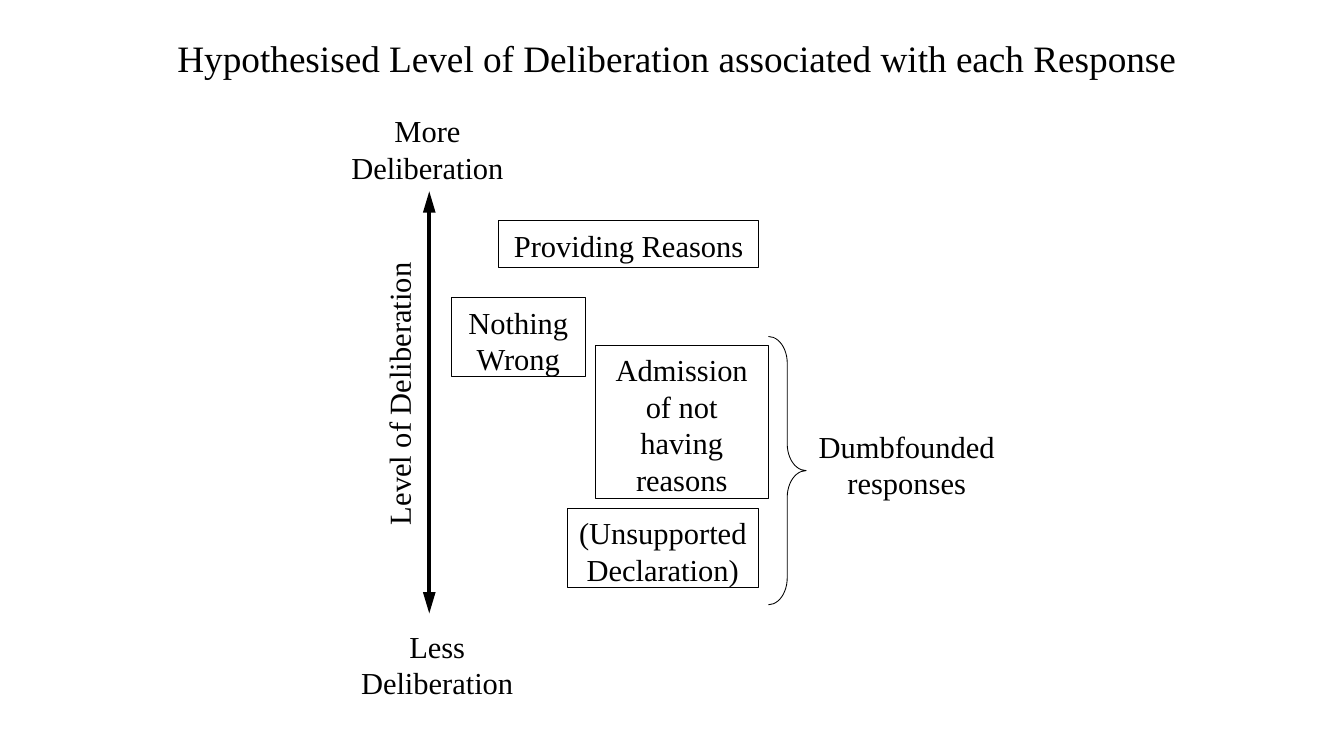
import lxml.etree
import pptx
import pptx.dml.color
import pptx.enum.shapes
import pptx.enum.text
import pptx.oxml.ns
import pptx.util

WIDTH, HEIGHT = 11.02, 6.2
FONT = "Times New Roman"
INK = "000000"
PAPER = "FFFFFF"
SHAPES = pptx.enum.shapes.MSO_SHAPE

RESPONSES = [
    ("Providing Reasons", (0.63, 0.24, 2.13, 0.38)),
    ("Nothing Wrong", (0.24, 0.87, 1.1, 0.65)),
    ("Admission of not having reasons", (1.42, 1.26, 1.42, 1.26)),
    ("(Unsupported Declaration)", (1.19, 2.6, 1.57, 0.65)),
]


def colour(hex_string):
    """Turn a hex string into a colour."""
    return pptx.dml.color.RGBColor.from_string(hex_string)


def inches(box):
    """Convert a box of inches to slide lengths."""
    return [pptx.util.Inches(length) for length in box]


def write(shape, text, size=18):
    """Put one centred run of text at the top of a shape."""
    frame = shape.text_frame
    frame.word_wrap = True
    frame.auto_size = pptx.enum.text.MSO_AUTO_SIZE.NONE
    frame.vertical_anchor = pptx.enum.text.MSO_ANCHOR.TOP
    frame.margin_left = frame.margin_right = pptx.util.Inches(0.08)
    frame.margin_top = frame.margin_bottom = pptx.util.Inches(0.05)
    paragraph = frame.paragraphs[0]
    paragraph.alignment = pptx.enum.text.PP_ALIGN.CENTER
    paragraph.line_spacing = 1.0
    paragraph.space_before = pptx.util.Pt(0)
    run = paragraph.add_run()
    run.text = text
    run.font.name = FONT
    run.font.size = pptx.util.Pt(size)
    run.font.color.rgb = colour(INK)


def add_label(slide, text, box):
    """Add a plain text label and return it."""
    label = slide.shapes.add_textbox(*inches(box))
    write(label, text)
    return label


def add_outline(slide, kind, box):
    """Add an unfilled, thinly outlined preset shape and return it."""
    shape = slide.shapes.add_shape(kind, *inches(box))
    shape.shadow.inherit = False
    shape.line.color.rgb = colour(INK)
    shape.line.width = pptx.util.Pt(0.5)
    shape.fill.background()
    return shape


def add_double_arrow(slide, ends):
    """Draw a line with a long arrowhead at both ends."""
    straight = pptx.enum.shapes.MSO_CONNECTOR.STRAIGHT
    arrow = slide.shapes.add_connector(straight, *inches(ends))
    arrow.line.color.rgb = colour(INK)
    arrow.line.width = pptx.util.Pt(2.5)
    name = pptx.oxml.ns.qn
    properties = arrow.element.find(name("p:spPr"))
    line = properties.find(name("a:ln"))
    for end in ("a:headEnd", "a:tailEnd"):
        lxml.etree.SubElement(line, name(end), type="triangle", w="med", len="lg")
    lxml.etree.SubElement(properties, name("a:effectLst"))


def add_title(slide, text, box):
    """Place and fill the title placeholder."""
    title = slide.shapes.title
    title.left, title.top, title.width, title.height = inches(box)
    write(title, text, 22)


def add_axis(slide, box):
    """Draw the deliberation axis with its three labels."""
    left, top, width, height = box
    centre = left + width / 2
    add_double_arrow(slide, (centre, top, centre, top + height))
    add_label(slide, "More Deliberation", (left - 0.86, top - 0.7, 1.81, 0.65))
    add_label(slide, "Less Deliberation", (left - 0.78, top + height + 0.07, 1.81, 0.65))
    middle = top + height / 2
    name = add_label(slide, "Level of Deliberation", (left - 1.52, middle - 0.28, 2.68, 0.42))
    name.rotation = 270


def add_responses(slide, box):
    """Place the response boxes beside the axis."""
    left, top, _, _ = box
    for text, (across, down, width, height) in RESPONSES:
        place = (left + across, top + down, width, height)
        write(add_outline(slide, SHAPES.RECTANGLE, place), text)


def add_group(slide, box):
    """Bracket the dumbfounded responses and name them."""
    left, top, width, height = box
    brace = add_outline(slide, SHAPES.RIGHT_BRACE, box)
    brace.adjustments[0] = 0.71
    brace.adjustments[1] = 0.5
    middle = top + height / 2
    add_label(slide, "Dumbfounded responses", (left + width, middle - 0.4, 1.65, 0.65))


def main():
    """Build the slide and save it."""
    presentation = pptx.Presentation()
    presentation.slide_width, presentation.slide_height = inches((WIDTH, HEIGHT))
    slide = presentation.slides.add_slide(presentation.slide_layouts[5])
    slide.background.fill.solid()
    slide.background.fill.fore_color.rgb = colour(PAPER)
    add_title(
        slide,
        "Hypothesised Level of Deliberation associated with each Response",
        (1.26, 0.24, 8.58, 0.71),
    )
    add_axis(slide, (3.46, 1.57, 0.12, 3.46))
    add_responses(slide, (3.46, 1.57, 2.84, 3.46))
    add_group(slide, (6.3, 2.76, 0.31, 2.2))
    presentation.save("out.pptx")


if __name__ == "__main__":
    main()
